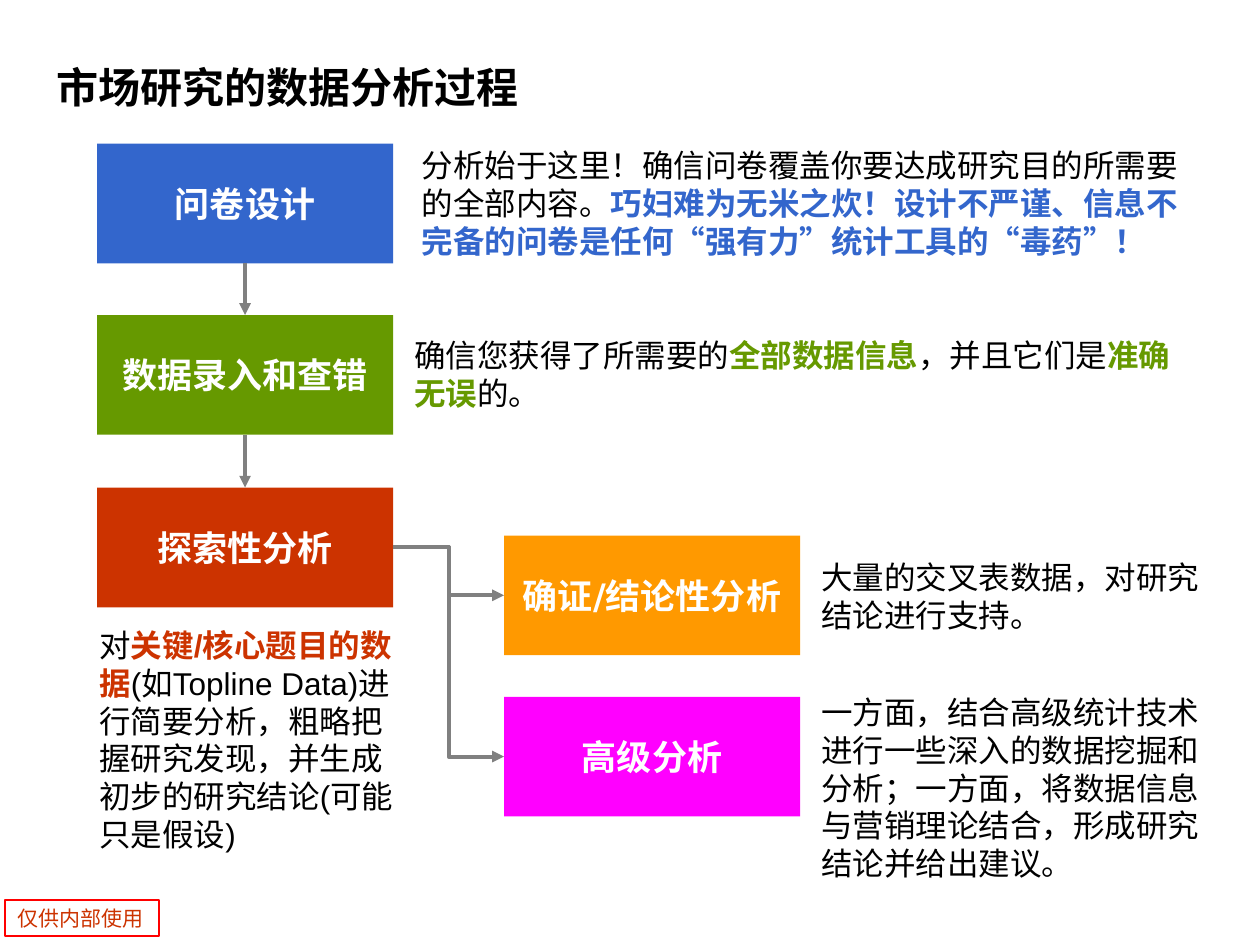
from dataclasses import dataclass
from typing import NamedTuple

from lxml.etree import SubElement
from pptx import Presentation
from pptx.dml.color import RGBColor as RGB
from pptx.enum.shapes import MSO_CONNECTOR as Link, MSO_SHAPE as Form
from pptx.enum.text import MSO_ANCHOR as Anchor, PP_ALIGN as Align
from pptx.oxml.ns import qn
from pptx.util import Inches, Pt


@dataclass(frozen=True)
class Theme:
    blue: str = "3366CC"
    green: str = "669900"
    red: str = "CC3300"
    orange: str = "FF9900"
    pink: str = "FF00FF"
    gray: str = "808080"
    frame: str = "FF0000"
    black: str = "000000"
    white: str = "FFFFFF"
    head: int = 24
    step: int = 20
    body: int = 18
    mark: int = 12


class Run(NamedTuple):
    text: str
    color: str = Theme.black
    bold: bool = False


class Step(NamedTuple):
    text: str
    left: float
    top: float
    fill: str


class Note(NamedTuple):
    left: float
    top: float
    width: float
    height: float
    runs: list[Run]


T = Theme()
BOX_W, BOX_H = 2.35, 0.95
TOP, LEFT, BOTTOM, RIGHT = range(4)  # connection sites of a rectangle

STEPS = [
    Step("问卷设计", 0.77, 1.14, T.blue),
    Step("数据录入和查错", 0.77, 2.5, T.green),
    Step("探索性分析", 0.77, 3.87, T.red),
    Step("确证/结论性分析", 4, 4.25, T.orange),
    Step("高级分析", 4, 5.53, T.pink),
]

NOTES = [
    Note(3.25, 1.11, 6.4, 1.01, [
        Run("分析始于这里！确信问卷覆盖你要达成研究目的所需要的全部内容。"),
        Run("巧妇难为无米之炊！设计不严谨、信息不完备的问卷是任何“强有力”统计工具的“毒药”！",
            T.blue, True)]),
    Note(3.19, 2.62, 6.4, 0.68, [
        Run("确信您获得了所需要的"), Run("全部数据信息", T.green, True),
        Run("，并且它们是"), Run("准确无误", T.green, True), Run("的。")]),
    Note(0.69, 4.92, 2.58, 1.83, [
        Run("对"), Run("关键/核心题目的数据", T.red, True),
        Run("(如Topline Data)进行简要分析，粗略把握研究发现，并生成初步的研究结论(可能只是假设)")]),
    Note(6.42, 4.38, 3.25, 0.7, [Run("大量的交叉表数据，对研究结论进行支持。")]),
    Note(6.42, 5.45, 3.25, 1.78, [
        Run("一方面，结合高级统计技术进行一些深入的数据挖掘和分析；"
            "一方面，将数据信息与营销理论结合，形成研究结论并给出建议。")]),
]

# From step, its site, to step, its site, kind of line
LINKS = [
    (0, BOTTOM, 1, TOP, Link.STRAIGHT),
    (1, BOTTOM, 2, TOP, Link.STRAIGHT),
    (2, RIGHT, 3, LEFT, Link.ELBOW),
    (2, RIGHT, 4, LEFT, Link.ELBOW),
]


def write(shape, runs: list[Run], *, size: int, font: str = "Arial",
          align=Align.LEFT, anchor=Anchor.TOP) -> None:
    frame = shape.text_frame
    frame.word_wrap = True
    frame.vertical_anchor = anchor
    para = frame.paragraphs[0]
    para.alignment = align
    for item in runs:
        run = para.add_run()
        run.text = item.text
        run.font.name = font
        run.font.size = Pt(size)
        run.font.bold = item.bold
        run.font.color.rgb = RGB.from_string(item.color)


def add_text(slide, note: Note, **form) -> None:
    box = slide.shapes.add_textbox(*map(Inches, note[:4]))
    write(box, note.runs, **form)


def add_rect(slide, left: float, top: float, width: float, height: float):
    rect = slide.shapes.add_shape(
        Form.RECTANGLE, *map(Inches, (left, top, width, height)))
    rect.shadow.inherit = False
    return rect


def add_step(slide, step: Step):
    box = add_rect(slide, step.left, step.top, BOX_W, BOX_H)
    box.fill.solid()
    box.fill.fore_color.rgb = RGB.from_string(step.fill)
    box.line.fill.background()
    write(box, [Run(step.text, T.white, True)], size=T.step,
          font="DejaVu Sans", align=Align.CENTER, anchor=Anchor.MIDDLE)
    return box


def add_link(slide, start, out: int, end, into: int, kind) -> None:
    link = slide.shapes.add_connector(kind, 0, 0, 0, 0)
    link.begin_connect(start, out)
    link.end_connect(end, into)
    link.line.color.rgb = RGB.from_string(T.gray)
    link.line.width = Pt(2.25)
    SubElement(link.line._get_or_add_ln(), qn("a:tailEnd"), type="triangle")
    SubElement(link._element.spPr, qn("a:effectLst"))


def main() -> None:
    deck = Presentation()
    deck.slide_width, deck.slide_height = Inches(10), Inches(7.5)
    slide = deck.slides.add_slide(deck.slide_layouts[6])

    # Usage mark
    mark = add_rect(slide, 0.04, 7.14, 1.22, 0.29)
    mark.fill.background()
    mark.line.color.rgb = RGB.from_string(T.frame)
    mark.line.width = Pt(1)
    write(mark, [Run("仅供内部使用", T.red)], size=T.mark,
          font="Noto Sans CJK SC", anchor=Anchor.MIDDLE)

    # Title
    title = Note(0.35, 0.23, 9.45, 0.92,
                 [Run("市场研究的数据分析过程", bold=True)])
    add_text(slide, title, size=T.head, font="Times New Roman",
             anchor=Anchor.MIDDLE)

    # Steps and the arrows between them
    boxes = [add_step(slide, step) for step in STEPS]
    for start, out, end, into, kind in LINKS:
        add_link(slide, boxes[start], out, boxes[end], into, kind)

    # Explanations
    for note in NOTES:
        add_text(slide, note, size=T.body)

    deck.save("out.pptx")


if __name__ == "__main__":
    main()
